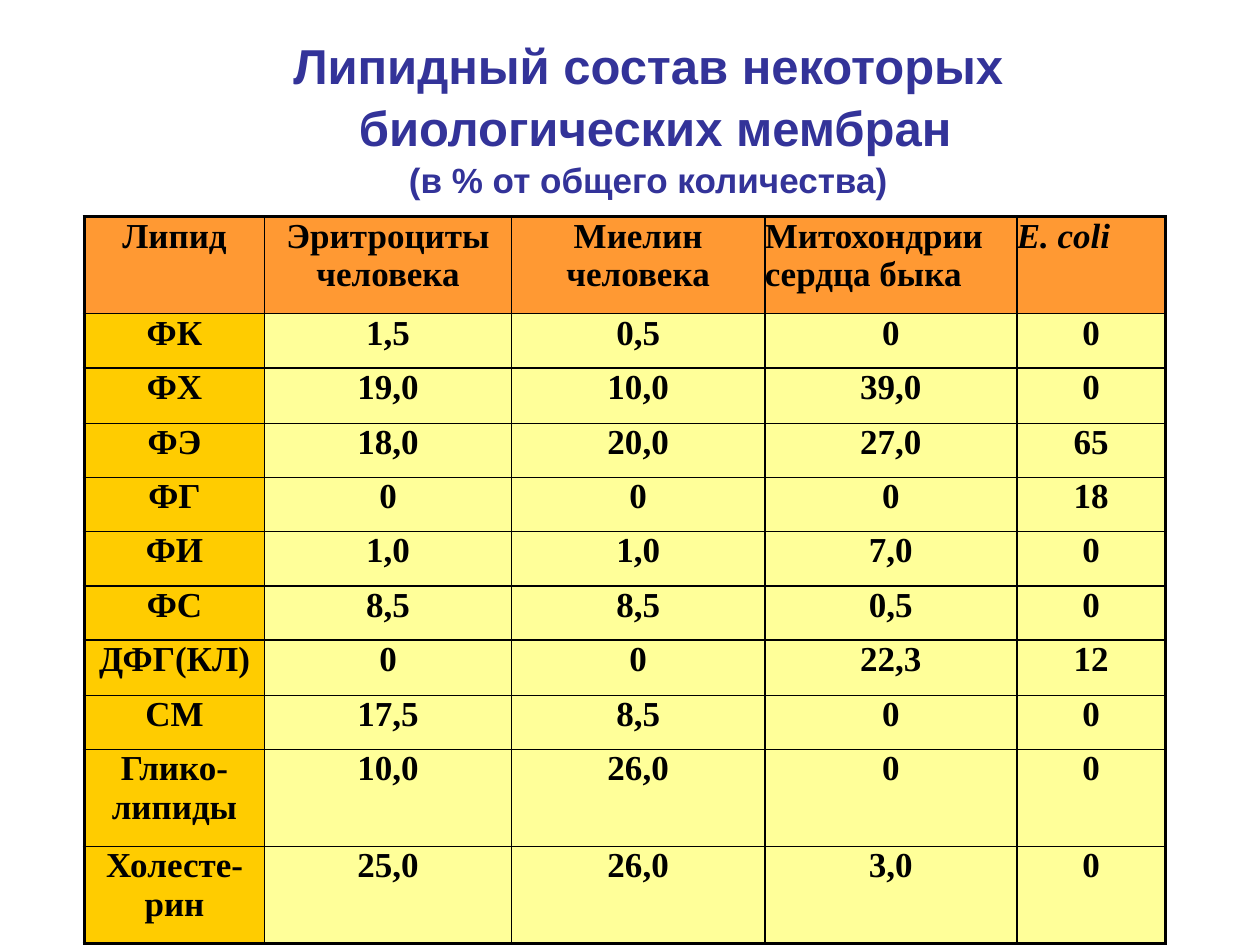
from lxml import etree
from pptx import Presentation
from pptx.dml.color import RGBColor
from pptx.enum.text import MSO_ANCHOR, MSO_AUTO_SIZE, PP_ALIGN
from pptx.oxml.ns import qn
from pptx.util import Pt

PX = 9144  # 100 px to the inch
CENTER, LEFT = PP_ALIGN.CENTER, PP_ALIGN.LEFT
TOP = MSO_ANCHOR.TOP
GROW = MSO_AUTO_SIZE.SHAPE_TO_FIT_TEXT
THIN, THICK = 1, 2.25

COLORS = {
    "title": "333399",
    "text": "000000",
    "border": "000000",
    "header": "FF9933",
    "lipid": "FFCC00",
    "value": "FFFF99",
}

TITLE = [
    ("Липидный состав некоторых", 28),
    (" биологических мембран", 28),
    ("(в % от общего количества)", 20),
]

COL_WIDTHS = [143, 196, 201, 200, 118]
ROW_HEIGHTS = [77, 43, 44, 43, 43, 43, 43, 44, 43, 77, 77]
LIPIDS = [
    ["Липид", "Эритроциты человека", "Миелин человека",
     "Митохондрии сердца быка", "E. coli"],
    ["ФК", "1,5", "0,5", "0", "0"],
    ["ФХ", "19,0", "10,0", "39,0", "0"],
    ["ФЭ", "18,0", "20,0", "27,0", "65"],
    ["ФГ", "0", "0", "0", "18"],
    ["ФИ", "1,0", "1,0", "7,0", "0"],
    ["ФС", "8,5", "8,5", "0,5", "0"],
    ["ДФГ(КЛ)", "0", "0", "22,3", "12"],
    ["СМ", "17,5", "8,5", "0", "0"],
    ["Глико-липиды", "10,0", "26,0", "0", "0"],
    ["Холесте-рин", "25,0", "26,0", "3,0", "0"],
]


def rgb(name):
    return RGBColor.from_string(COLORS[name])


def set_attrs(obj, values):
    for name, value in values.items():
        setattr(obj, name, value)


class SlideBuilder:
    title_font = {"name": "Arial", "bold": True}
    table_font = {"name": "Times New Roman", "size": Pt(20), "bold": True}

    def __init__(self, prs):
        self.s = prs.slides.add_slide(prs.slide_layouts[5])

    def text(self, p, text, font, color, align=CENTER):
        p.alignment = align
        r = p.add_run()
        r.text = text
        set_attrs(r.font, font)
        r.font.color.rgb = rgb(color)

    def title(self, lines, x, y, w, h):
        sp = self.s.shapes.title
        set_attrs(sp, {"left": x * PX, "top": y * PX,
                       "width": w * PX, "height": h * PX})
        tf = sp.text_frame
        set_attrs(tf, {"word_wrap": True, "vertical_anchor": TOP, "auto_size": GROW})
        for i, (line, size) in enumerate(lines):
            p = tf.add_paragraph() if i else tf.paragraphs[0]
            p.line_spacing = 1.05
            self.text(p, line, {**self.title_font, "size": Pt(size)}, "title")

    def borders(self, cell, widths):
        tcPr = cell._tc.get_or_add_tcPr()
        for side, width in widths.items():
            ln = etree.SubElement(tcPr, qn(f"a:ln{side}"), w=str(Pt(width)))
            fill = etree.SubElement(ln, qn("a:solidFill"))
            etree.SubElement(fill, qn("a:srgbClr"), val=COLORS["border"])

    def cell(self, cell, text, fill, widths, align=CENTER, italic=False):
        set_attrs(cell, {"margin_left": 0, "margin_right": 0, "margin_top": 0,
                         "margin_bottom": 0, "vertical_anchor": TOP})
        self.borders(cell, widths)
        cell.fill.solid()
        cell.fill.fore_color.rgb = rgb(fill)
        font = {**self.table_font, "italic": italic}
        self.text(cell.text_frame.paragraphs[0], text, font, "text", align)

    def table(self, rows, x, y, col_widths, row_heights):
        n_rows, n_cols = len(rows), len(col_widths)
        tbl = self.s.shapes.add_table(
            n_rows, n_cols, x * PX, y * PX,
            sum(col_widths) * PX, sum(row_heights) * PX).table
        set_attrs(tbl, {"first_row": False, "horz_banding": False})
        for col, width in zip(tbl.columns, col_widths):
            col.width = width * PX
        for row, height in zip(tbl.rows, row_heights):
            row.height = height * PX

        for i, row in enumerate(rows):
            for j, text in enumerate(row):
                header = i == 0
                fill = "header" if header else "value" if j else "lipid"
                # The outer frame is thick, the inner grid thin
                widths = {
                    "L": THIN if j else THICK,
                    "R": THIN if j < n_cols - 1 else THICK,
                    "T": THIN if i else THICK,
                    "B": THIN if i < n_rows - 1 else THICK,
                }
                align = LEFT if header and j >= 3 else CENTER
                self.cell(tbl.cell(i, j), text, fill, widths, align,
                          italic=text == "E. coli")


def main():
    prs = Presentation()
    set_attrs(prs, {"slide_width": 1000 * PX, "slide_height": 750 * PX})
    slide = SlideBuilder(prs)

    # Lipid composition table
    slide.table(LIPIDS, 67, 172, COL_WIDTHS, ROW_HEIGHTS)

    # Heading
    slide.title(TITLE, 29, 21, 971, 137)

    prs.save("out.pptx")


if __name__ == "__main__":
    main()
